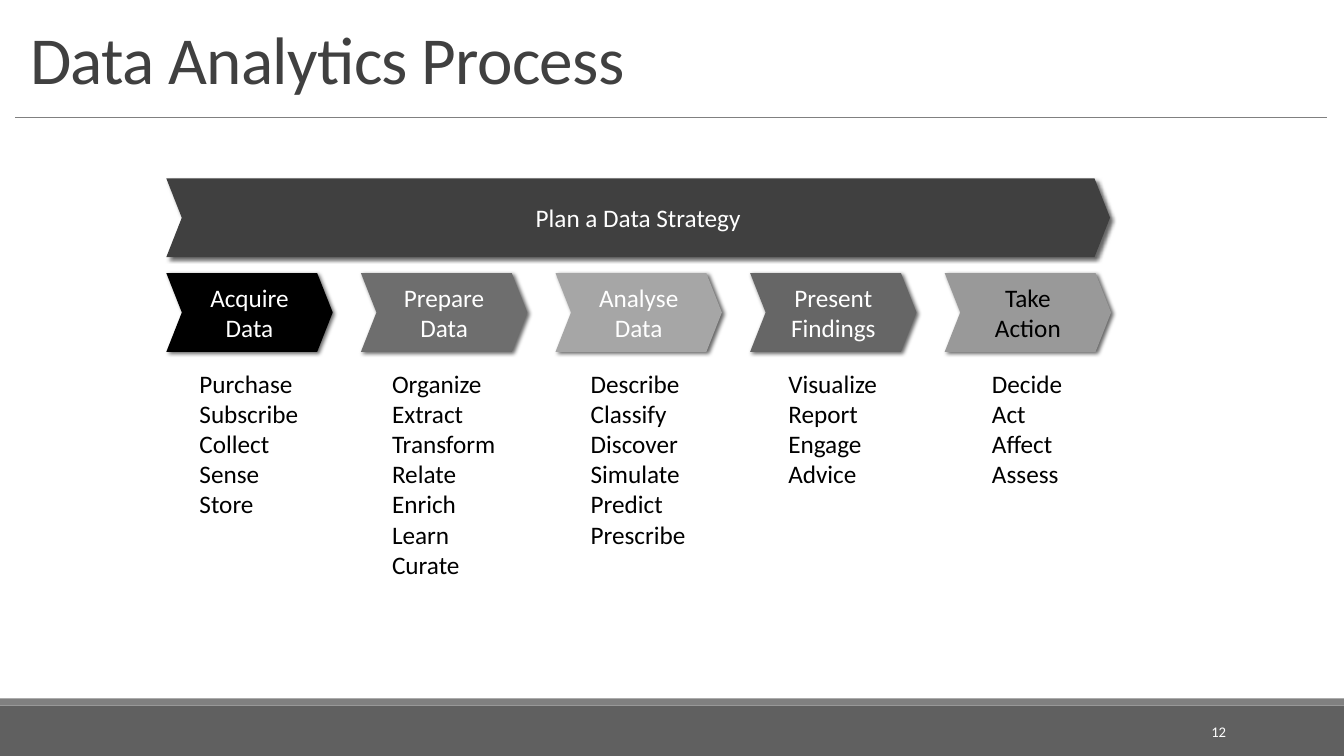
from dataclasses import dataclass

from lxml.etree import SubElement
from pptx import Presentation
from pptx.dml.color import RGBColor as RGB
from pptx.enum.shapes import MSO_CONNECTOR as CONNECTOR, MSO_SHAPE as SHAPE
from pptx.enum.text import MSO_ANCHOR as ANCHOR, MSO_AUTO_SIZE as AUTO, PP_ALIGN as ALIGN
from pptx.oxml.ns import qn
from pptx.util import Inches, Pt


@dataclass(frozen=True)
class Theme:
    font: str = "Calibri"
    title_size: float = 48
    body_size: float = 18
    number_size: float = 10.5
    dark: str = "404040"
    rule: str = "808080"
    footer: str = "606060"
    black: str = "000000"
    white: str = "FFFFFF"


def write(tf, lines, *, font, size, color, align=ALIGN.LEFT, anchor=ANCHOR.TOP,
          wrap=True, auto=AUTO.NONE, leading=None, tracking=None):
    tf.word_wrap, tf.auto_size, tf.vertical_anchor = wrap, auto, anchor
    for i, line in enumerate(lines):
        p = tf.add_paragraph() if i else tf.paragraphs[0]
        p.text, p.alignment = line, align
        if leading:
            p.line_spacing = leading
        for r in p.runs:
            r.font.name, r.font.size = font, Pt(size)
            r.font.color.rgb = RGB.from_string(color)
            if tracking:
                r._r.get_or_add_rPr().set("spc", str(int(tracking * 100)))


class SlideBuilder:
    def __init__(self, slide, theme):
        self.slide, self.theme = slide, theme

    def shape(self, kind, x, y, w, h, fill):
        sp = self.slide.shapes.add_shape(kind, Inches(x), Inches(y), Inches(w), Inches(h))
        sp.shadow.inherit = False
        sp.fill.solid()
        sp.fill.fore_color.rgb = RGB.from_string(fill)
        sp.line.fill.background()
        return sp

    def rule(self, x1, x2, y):
        line = self.slide.shapes.add_connector(
            CONNECTOR.STRAIGHT, Inches(x1), Inches(y), Inches(x2), Inches(y))
        line.line.color.rgb = RGB.from_string(self.theme.rule)
        line.line.width = Pt(0.5)
        SubElement(line._element.spPr, qn("a:effectLst"))

    def title(self, text, x, y, w, h):
        sp = self.slide.shapes.title
        sp.left, sp.top, sp.width, sp.height = map(Inches, (x, y, w, h))
        write(sp.text_frame, [text], font=self.theme.font, size=self.theme.title_size,
              color=self.theme.dark, anchor=ANCHOR.BOTTOM, leading=0.85, tracking=-0.5)

    def text(self, lines, x, y, w, h, **style):
        sp = self.slide.shapes.add_textbox(Inches(x), Inches(y), Inches(w), Inches(h))
        style = {"size": self.theme.body_size, "color": self.theme.black} | style
        write(sp.text_frame, lines, font=self.theme.font, **style)

    def chevron(self, text, x, y, w, fill, color):
        sp = self.shape(SHAPE.CHEVRON, x, y, w, 0.78, fill)
        sp.adjustments[0] = 0.197
        effects = sp._element.spPr.find(qn("a:effectLst"))
        shadow = SubElement(effects, qn("a:outerShdw"), blurRad=str(Pt(3)), dist=str(Pt(2)),
                            dir="2700000", algn="tl", rotWithShape="0")
        tint = SubElement(shadow, qn("a:srgbClr"), val=self.theme.black)
        SubElement(tint, qn("a:alpha"), val="60000")
        write(sp.text_frame, [text], font=self.theme.font, size=self.theme.body_size,
              color=color, align=ALIGN.CENTER, anchor=ANCHOR.MIDDLE)


def main():
    """Build the data analytics process slide."""
    prs = Presentation()
    prs.slide_width, prs.slide_height = Inches(13.33), Inches(7.5)
    theme = Theme()
    s = SlideBuilder(prs.slides.add_slide(prs.slide_layouts[5]), theme)

    s.shape(SHAPE.RECTANGLE, 0, 7, 13.33, 0.5, theme.footer)
    s.shape(SHAPE.RECTANGLE, 0, 6.93, 13.33, 0.07, theme.rule)
    s.rule(0.15, 13.16, 1.16)
    s.title("Data Analytics Process", 0.2, 0.15, 12.93, 0.87)
    s.text(["12"], 10.83, 7.06, 1.43, 0.4, size=theme.number_size, color=theme.white,
           align=ALIGN.RIGHT, anchor=ANCHOR.MIDDLE)

    left, pitch = 1.65, 1.93
    stages = [
        ("Acquire\vData", theme.black, theme.white, 1.88, 1.19,
         ["Purchase", "Subscribe\vCollect", "Sense", "Store"]),
        ("Prepare\vData", "6E6E6E", theme.white, 3.79, 1.24,
         ["Organize", "Extract", "Transform", "Relate", "Enrich", "Learn", "Curate"]),
        ("Analyse\vData", "A6A6A6", theme.white, 5.76, 1.15,
         ["Describe", "Classify", "Discover", "Simulate", "Predict", "Prescribe"]),
        ("Present\vFindings", "666666", theme.white, 7.72, 1.09,
         ["Visualize", "Report", "Engage", "Advice"]),
        ("Take\vAction", "999999", theme.black, 9.74, 0.91,
         ["Decide", "Act", "Affect", "Assess"]),
    ]
    s.chevron("Plan a Data Strategy", left, 1.77, 9.36, theme.dark, theme.white)
    for i, (name, fill, color, x, w, tasks) in enumerate(stages):
        s.chevron(name, left + i * pitch, 2.71, 1.65, fill, color)
        rows = sum(task.count("\v") + 1 for task in tasks)
        s.text(tasks, x, 3.6, w, 0.1 + 0.3 * rows, wrap=False, auto=AUTO.SHAPE_TO_FIT_TEXT)

    prs.save("out.pptx")


if __name__ == "__main__":
    main()
